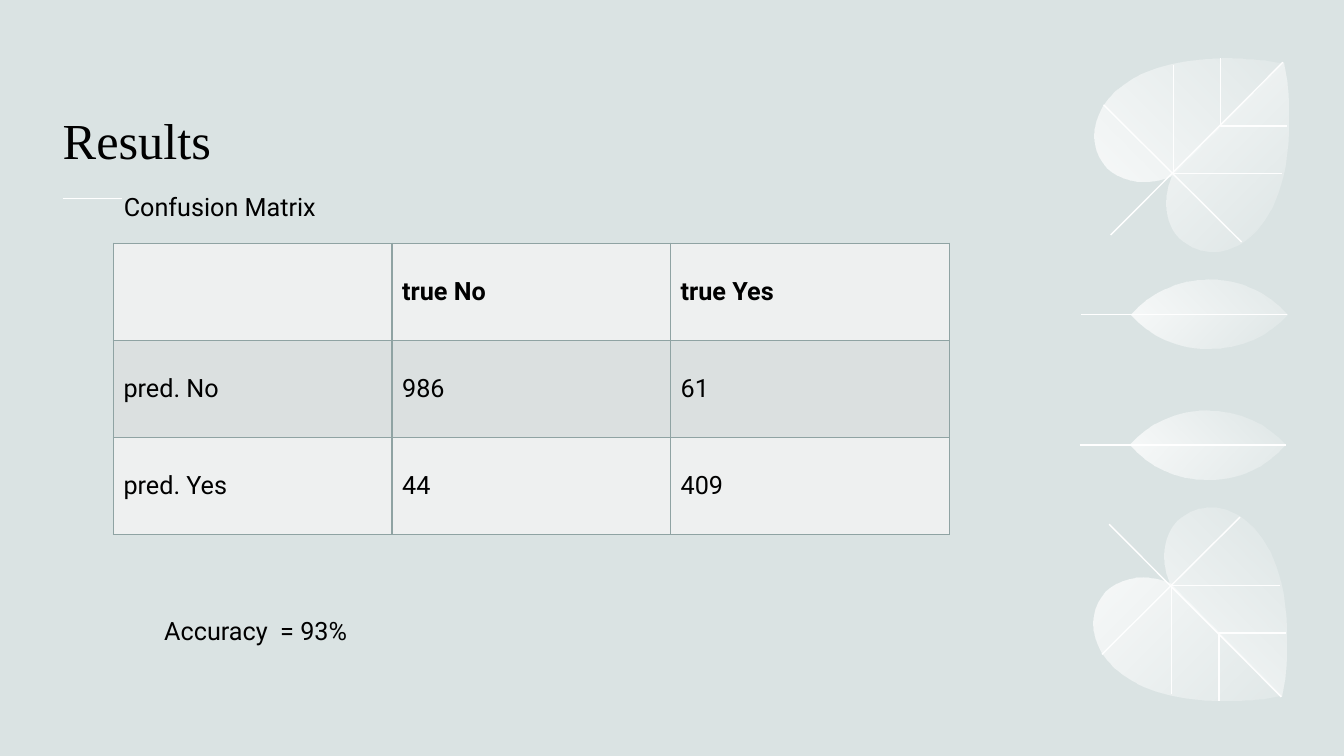
from lxml import etree
from pptx import Presentation
from pptx.dml.color import RGBColor
from pptx.enum.shapes import MSO_CONNECTOR
from pptx.enum.text import MSO_ANCHOR, MSO_AUTO_SIZE, PP_ALIGN
from pptx.oxml.ns import qn
from pptx.util import Cm, Pt

STRAIGHT = MSO_CONNECTOR.STRAIGHT
BOTTOM, MIDDLE = MSO_ANCHOR.BOTTOM, MSO_ANCHOR.MIDDLE
FIT_SHAPE, NO_FIT = MSO_AUTO_SIZE.SHAPE_TO_FIT_TEXT, MSO_AUTO_SIZE.NONE
LEFT = PP_ALIGN.LEFT

BACKGROUND = RGBColor(0xDA, 0xE3, 0xE3)
WHITE = RGBColor(0xFF, 0xFF, 0xFF)
BLACK = RGBColor(0x00, 0x00, 0x00)
BORDER = RGBColor(0x8F, 0xA3, 0xA3)
LIGHT_ROW = RGBColor(0xEE, 0xF0, 0xF0)
DARK_ROW = RGBColor(0xDB, 0xE0, 0xE0)

TITLE_FONT = {"name": "Times New Roman", "size": Pt(36), "bold": False}
BODY_FONT = {"name": "Roboto", "size": Pt(18), "bold": False}
HEADER_FONT = {**BODY_FONT, "bold": True}

CONFUSION_MATRIX = [
    ["", "true No", "true Yes"],
    ["pred. No", "986", "61"],
    ["pred. Yes", "44", "409"],
]

RISING, FALLING = 45, 315
CURVE_STEPS = 16
VEINS = [
    [(32.33, 1.57), (27.99, 5.92)],
    [(27.81, 2.64), (31.29, 6.1)],
]
BRANCHES = [
    [(32.31, 4.37), (29.57, 4.37), (29.57, 1.63)],
    [(32.44, 3.18), (30.76, 3.18), (30.76, 1.47)],
]
STEM = [(27.25, 7.92), (32.44, 7.92)]
BLADES = [
    (RISING, 20, (32.33, 1.6), [
        [(29.51, 4.42)],
        [(29.24, 4.52)],
        [(28.68, 4.65), (28.22, 4.5), (27.91, 4.22)],
        [(27.89, 4.19), (27.84, 4.14), (27.81, 4.09)],
        [(27.1, 3.15), (27.97, 1.12), (31.88, 1.52)],
    ]),
    (FALLING, 10, (32.33, 1.57), [
        [(32.41, 2.03)],
        [(32.82, 5.94), (30.78, 6.83), (29.85, 6.1)],
        [(29.46, 5.84), (29.29, 5.33), (29.44, 4.67)],
        [(29.54, 4.39)],
    ]),
    (RISING, 20, (30.45, 7.04), [
        [(29.69, 7.04), (28.98, 7.37), (28.5, 7.92)],
        [(32.44, 7.92)],
        [(31.95, 7.37), (31.27, 7.04), (30.45, 7.04)],
    ]),
    (FALLING, 10, (32.44, 7.92), [
        [(28.5, 7.92)],
        [(28.98, 8.46), (29.69, 8.79), (30.45, 8.79)],
        [(31.27, 8.79), (31.95, 8.46), (32.44, 7.92)],
    ]),
]


def upright(point):
    return point


def mirrored(point):
    return point[0] - 0.04, 19.13 - point[1]


def format_text(paragraph, text, font_format):
    run = paragraph.add_run()
    run.text = text
    for attribute, value in font_format.items():
        setattr(run.font, attribute, value)
    run.font.color.rgb = BLACK


def add_line(slide, start, end):
    line = slide.shapes.add_connector(STRAIGHT, *(Cm(v) for v in (*start, *end)))
    line.line.color.rgb = WHITE
    line.line.width = Pt(1)
    etree.SubElement(line._element.spPr, qn("a:effectLst"))


def add_freeform(slide, points):
    corners = [(Cm(x), Cm(y)) for x, y in points]
    builder = slide.shapes.build_freeform(*corners[0])
    builder.add_line_segments(corners[1:], close=False)
    shape = builder.convert_to_shape()
    shape.shadow.inherit = False
    return shape


def add_branch(slide, points):
    branch = add_freeform(slide, points)
    branch.fill.background()
    branch.line.color.rgb = WHITE
    branch.line.width = Pt(1)


def curve_bounds(start, segments):
    points = [start]
    for segment in segments:
        controls = [points[-1], *segment]
        if len(segment) == 1:
            points += segment
            continue
        for step in range(1, CURVE_STEPS + 1):
            t = step / CURVE_STEPS
            weights = ((1 - t) ** 3, 3 * t * (1 - t) ** 2, 3 * t * t * (1 - t), t ** 3)
            points.append(tuple(
                sum(w * c[axis] for w, c in zip(weights, controls)) for axis in (0, 1)
            ))
    xs, ys = zip(*points)
    return [(min(xs), min(ys)), (max(xs), max(ys))]


def draw_curves(blade, start, segments):
    contour = blade._element.spPr.find(".//" + qn("a:path"))
    for command in list(contour):
        contour.remove(command)
    for order, points in enumerate([[start], *segments]):
        tag = "a:cubicBezTo" if len(points) == 3 else "a:lnTo" if order else "a:moveTo"
        command = etree.SubElement(contour, qn(tag))
        for x, y in points:
            etree.SubElement(command, qn("a:pt"), x=str(Cm(x) - blade.left),
                             y=str(Cm(y) - blade.top))
    etree.SubElement(contour, qn("a:close"))


def add_blade(slide, start, segments, angle, end_opacity):
    blade = add_freeform(slide, curve_bounds(start, segments))
    draw_curves(blade, start, segments)
    blade.line.fill.background()
    blade.fill.gradient()
    blade.fill.gradient_angle = angle
    for stop, opacity in zip(blade.fill.gradient_stops, (80, end_opacity)):
        stop.color.rgb = WHITE
        colour = stop._gs.find(qn("a:srgbClr"))
        etree.SubElement(colour, qn("a:alpha"), val=str(opacity * 1000))


def add_leaves(slide, orient):
    for vein in VEINS:
        add_line(slide, *map(orient, vein))
    for branch in BRANCHES:
        add_branch(slide, list(map(orient, branch)))
    for angle, end_opacity, start, segments in BLADES:
        oriented = [list(map(orient, segment)) for segment in segments]
        turned = 360 - angle if orient is mirrored else angle
        add_blade(slide, orient(start), oriented, turned, end_opacity)
    add_line(slide, *map(orient, STEM))


def add_title(slide, text):
    title = slide.shapes.title
    box = {"left": 1.58, "top": 1.1, "width": 24.03, "height": 3.3}
    for attribute, value in box.items():
        setattr(title, attribute, Cm(value))
    frame_format = {"margin_left": 0, "vertical_anchor": BOTTOM,
                    "word_wrap": True, "auto_size": NO_FIT}
    for attribute, value in frame_format.items():
        setattr(title.text_frame, attribute, value)
    paragraph = title.text_frame.paragraphs[0]
    paragraph.alignment = LEFT
    format_text(paragraph, text, TITLE_FONT)


def add_label(slide, text, box, wrap):
    label = slide.shapes.add_textbox(*(Cm(v) for v in box))
    label.text_frame.word_wrap = wrap
    label.text_frame.auto_size = FIT_SHAPE
    format_text(label.text_frame.paragraphs[0], text, BODY_FONT)


def add_borders(cell):
    properties = cell._tc.get_or_add_tcPr()
    for side in ("a:lnL", "a:lnR", "a:lnT", "a:lnB"):
        edge = etree.SubElement(properties, qn(side), w=str(Pt(1)))
        fill = etree.SubElement(edge, qn("a:solidFill"))
        etree.SubElement(fill, qn("a:srgbClr"), val=str(BORDER))


def add_matrix(slide, rows):
    box = (Cm(v) for v in (2.86, 6.13, 21.06, 7.34))
    matrix = slide.shapes.add_table(len(rows), len(rows[0]), *box).table
    for row, texts in enumerate(rows):
        for column, text in enumerate(texts):
            cell = matrix.cell(row, column)
            add_borders(cell)
            cell.fill.solid()
            cell.fill.fore_color.rgb = DARK_ROW if row % 2 else LIGHT_ROW
            cell.vertical_anchor = MIDDLE
            if text:
                font_format = BODY_FONT if row else HEADER_FONT
                format_text(cell.text_frame.paragraphs[0], text, font_format)


def main():
    presentation = Presentation()
    presentation.slide_width = Cm(33.87)
    presentation.slide_height = Cm(19.05)
    slide = presentation.slides.add_slide(presentation.slide_layouts[5])
    slide.background.fill.solid()
    slide.background.fill.fore_color.rgb = BACKGROUND
    add_leaves(slide, upright)
    add_line(slide, (1.58, 5), (3.07, 5))
    add_leaves(slide, mirrored)
    add_title(slide, "Results")
    add_matrix(slide, CONFUSION_MATRIX)
    add_label(slide, "Confusion Matrix", (2.87, 4.7, 7.39, 1.8), True)
    add_label(slide, "Accuracy  = 93%", (3.89, 15.39, 5.54, 1.02), False)
    presentation.save("out.pptx")


if __name__ == "__main__":
    main()
